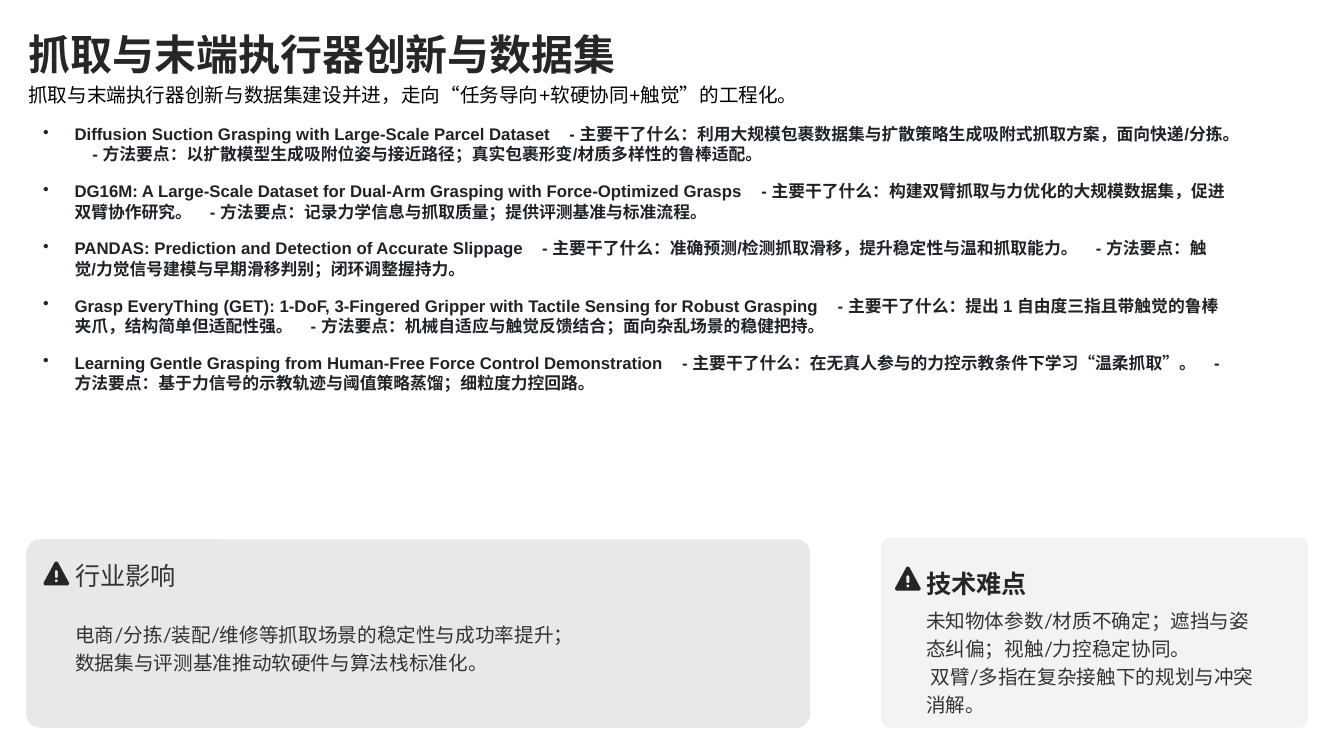
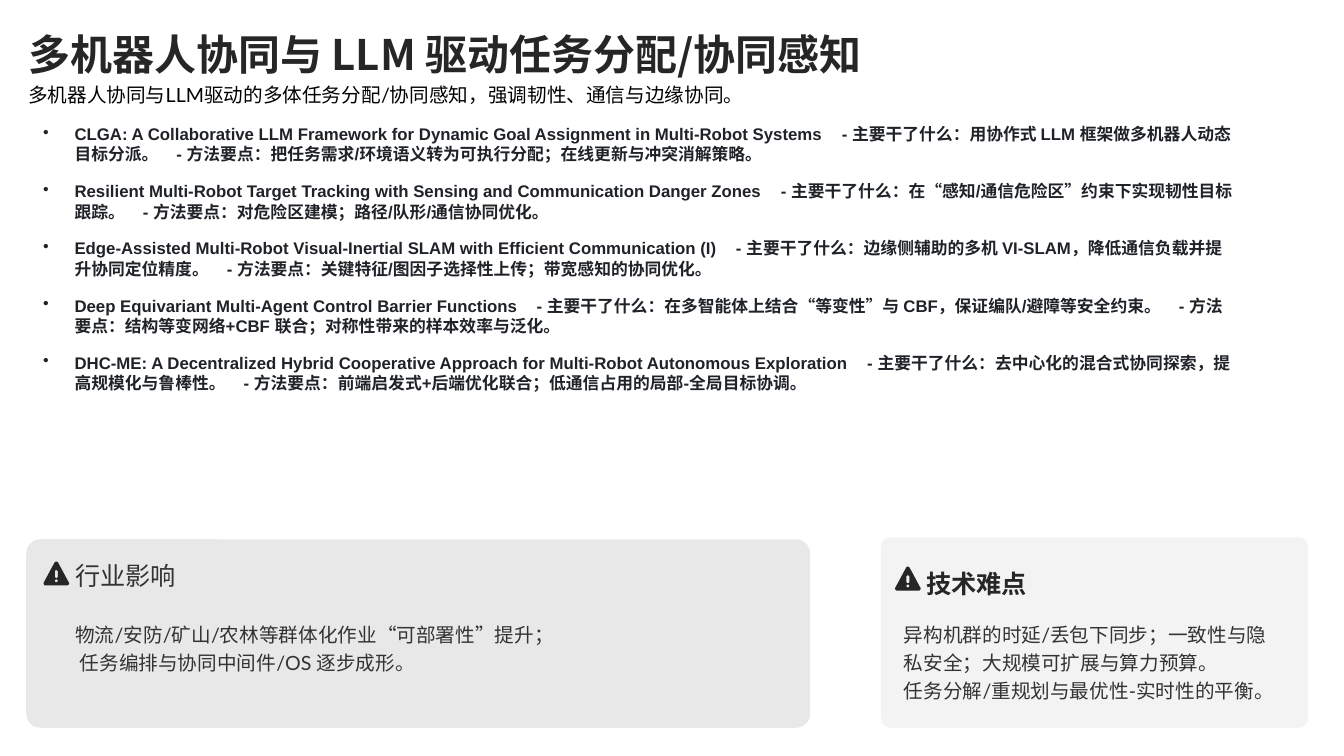
import math
from pptx import Presentation
from pptx.dml.color import RGBColor
from pptx.enum import shapes, text
from pptx.oxml import ns, xmlchemy
from pptx.util import Cm, Pt

INK = RGBColor(0x26, 0x26, 0x26)
BODY = RGBColor(0x33, 0x33, 0x33)
BULLET = RGBColor(0x1F, 0x23, 0x28)
BLACK = RGBColor(0, 0, 0)
GREY = RGBColor(0x8C, 0x8C, 0x8C)
HAN, SANS, LIST = "Noto Sans CJK SC", "Lato", "Arial"

# Panel geometry in cm: box on the slide, the rest relative to the box
IMPACT = dict(box=(0.66, 13.59, 19.76, 4.75), radius=0.36, fill=INK,
              icon=(0.44, 0.56), heading=(1.24, 0.33), bold=False, spacing=1.2, color=BODY)
CHALLENGE = dict(box=(22.2, 13.54, 10.77, 4.8), radius=0.24, fill=GREY,
                 icon=(0.36, 0.74), heading=(1.14, 0.56), bold=True, spacing=1.3, color=INK)

SLIDES = [
    dict(
        title="抓取与末端执行器创新与数据集",
        subtitle="抓取与末端执行器创新与数据集建设并进，走向“任务导向+软硬协同+触觉”的工程化。",
        papers=[
            ("Diffusion Suction Grasping with Large-Scale Parcel Dataset",
             "利用大规模包裹数据集与扩散策略生成吸附式抓取方案，面向快递/分拣。",
             "以扩散模型生成吸附位姿与接近路径；真实包裹形变/材质多样性的鲁棒适配。"),
            ("DG16M: A Large-Scale Dataset for Dual-Arm Grasping with Force-Optimized Grasps",
             "构建双臂抓取与力优化的大规模数据集，促进双臂协作研究。",
             "记录力学信息与抓取质量；提供评测基准与标准流程。"),
            ("PANDAS: Prediction and Detection of Accurate Slippage",
             "准确预测/检测抓取滑移，提升稳定性与温和抓取能力。",
             "触觉/力觉信号建模与早期滑移判别；闭环调整握持力。"),
            ("Grasp EveryThing (GET): 1-DoF, 3-Fingered Gripper with Tactile Sensing for Robust Grasping",
             "提出 1 自由度三指且带触觉的鲁棒夹爪，结构简单但适配性强。",
             "机械自适应与触觉反馈结合；面向杂乱场景的稳健把持。"),
            ("Learning Gentle Grasping from Human-Free Force Control Demonstration",
             "在无真人参与的力控示教条件下学习“温柔抓取”。",
             "基于力信号的示教轨迹与阈值策略蒸馏；细粒度力控回路。"),
        ],
        impact=["电商/分拣/装配/维修等抓取场景的稳定性与成功率提升；",
                "数据集与评测基准推动软硬件与算法栈标准化。"],
        challenge=["未知物体参数/材质不确定；遮挡与姿态纠偏；视触/力控稳定协同。",
                   " 双臂/多指在复杂接触下的规划与冲突消解。"],
        challenge_body=(1.14, 1.4, 8.36, 3.4),
    ),
    dict(
        title="多机器人协同与 LLM 驱动任务分配/协同感知",
        subtitle="多机器人协同与LLM驱动的多体任务分配/协同感知，强调韧性、通信与边缘协同。",
        papers=[
            ("CLGA: A Collaborative LLM Framework for Dynamic Goal Assignment in Multi-Robot Systems",
             "用协作式 LLM 框架做多机器人动态目标分派。",
             "把任务需求/环境语义转为可执行分配；在线更新与冲突消解策略。"),
            ("Resilient Multi-Robot Target Tracking with Sensing and Communication Danger Zones",
             "在“感知/通信危险区”约束下实现韧性目标跟踪。",
             "对危险区建模；路径/队形/通信协同优化。"),
            ("Edge-Assisted Multi-Robot Visual-Inertial SLAM with Efficient Communication (I)",
             "边缘侧辅助的多机 VI-SLAM，降低通信负载并提升协同定位精度。",
             "关键特征/图因子选择性上传；带宽感知的协同优化。"),
            ("Deep Equivariant Multi-Agent Control Barrier Functions",
             "在多智能体上结合“等变性”与 CBF，保证编队/避障等安全约束。",
             "结构等变网络+CBF 联合；对称性带来的样本效率与泛化。"),
            ("DHC-ME: A Decentralized Hybrid Cooperative Approach for Multi-Robot Autonomous Exploration",
             "去中心化的混合式协同探索，提高规模化与鲁棒性。",
             "前端启发式+后端优化联合；低通信占用的局部-全局目标协调。"),
        ],
        impact=["物流/安防/矿山/农林等群体化作业“可部署性”提升；",
                " 任务编排与协同中间件/OS 逐步成形。"],
        challenge=["异构机群的时延/丢包下同步；一致性与隐私安全；大规模可扩展与算力预算。",
                   "任务分解/重规划与最优性-实时性的平衡。"],
        challenge_body=(0.58, 1.4, 9.63, 3.4),
    ),
]


def style_run(r, font, size, color, bold=False):
    r.font.name, r.font.size, r.font.bold = font, Pt(size), bold
    r.font.color.rgb = color
    ea = xmlchemy.OxmlElement("a:ea")
    ea.set("typeface", HAN)
    r.font._element.find(ns.qn("a:latin")).addnext(ea)


def add_text(s, box, lines, font, size, color, bold=False, spacing=1.0):
    tf = s.shapes.add_textbox(*map(Cm, box)).text_frame
    tf.word_wrap = True
    tf.vertical_anchor = text.MSO_ANCHOR.MIDDLE
    tf.margin_left = tf.margin_right = tf.margin_top = tf.margin_bottom = 0
    tf.text = "\n".join(lines)
    for p in tf.paragraphs:
        p.line_spacing = spacing
        for r in p.runs:
            style_run(r, font, size, color, bold)


def arc(cx, cy, radius, start, end, steps=12):
    angles = [math.radians(start + (end - start) * i / steps) for i in range(steps + 1)]
    return [(cx + radius * math.cos(a), cy + radius * math.sin(a)) for a in angles]


def add_warning_icon(s, left, top, size=0.64):
    """Rounded triangle with an exclamation mark cut out, on a 100-unit grid."""
    triangle = arc(50, 8, 8, 210, 330) + arc(92, 86, 8, 330, 450) + arc(8, 86, 8, 90, 210)
    bar = arc(50, 40, 6, 360, 180) + arc(50, 59, 6, 180, 0)
    dot = arc(50, 76, 6, 360, 0)
    fb = s.shapes.build_freeform(*triangle[0], scale=Cm(size) / 100)
    fb.add_line_segments(triangle[1:])
    for hole in (bar, dot):
        fb.move_to(*hole[0])
        fb.add_line_segments(hole[1:])
    sp = fb.convert_to_shape(Cm(left), Cm(top))
    sp.shadow.inherit = False
    sp.fill.solid()
    sp.fill.fore_color.rgb = INK
    sp.line.fill.background()


def add_header(s, title, subtitle):
    add_text(s, (0.71, 0.71, 32.4, 1.27), [title], HAN, 30, INK, bold=True)
    add_text(s, (0.71, 1.98, 32.4, 0.71), [subtitle], SANS, 14, BLACK, spacing=1.2)


def add_papers(s, box, papers):
    tf = s.shapes.add_textbox(*map(Cm, box)).text_frame
    tf.word_wrap = True
    for i, (name, what, how) in enumerate(papers):
        p = tf.paragraphs[0] if i == 0 else tf.add_paragraph()
        p.space_after = Pt(12)
        pPr = p._p.get_or_add_pPr()
        pPr.set("marL", str(Cm(0.79)))
        pPr.set("indent", str(-Cm(0.79)))
        bullet = xmlchemy.OxmlElement("a:buChar")
        bullet.set("char", "•")
        pPr.append(bullet)
        # A single widened space separates the parts of an entry
        for part in (name, " ", f"- 主要干了什么：{what}", " ", f"- 方法要点：{how}"):
            r = p.add_run()
            r.text = part
            style_run(r, LIST, 12, BULLET, bold=True)
            if part == " ":
                r.font._element.set("spc", "1000")


def add_panel(s, look, heading, lines, body):
    left, top, width, height = look["box"]

    def inside(x, y, *size):
        return (left + x, top + y, *size)

    # Translucent card
    sp = s.shapes.add_shape(shapes.MSO_SHAPE.ROUNDED_RECTANGLE, *map(Cm, look["box"]))
    sp.adjustments[0] = look["radius"] / min(width, height)
    sp.shadow.inherit = False
    sp.fill.solid()
    sp.fill.fore_color.rgb = look["fill"]
    sp.line.fill.background()
    alpha = xmlchemy.OxmlElement("a:alpha")
    alpha.set("val", "10000")
    sp._element.spPr.find(ns.qn("a:solidFill"))[0].append(alpha)
    # Contents
    add_warning_icon(s, *inside(*look["icon"]))
    add_text(s, inside(*look["heading"], 9.07, 1), [heading], SANS, 18,
             look["color"], look["bold"], look["spacing"])
    add_text(s, inside(*body), lines, SANS, 14, BODY, spacing=1.2)


def add_topic_slide(prs, topic):
    s = prs.slides.add_slide(prs.slide_layouts[6])
    add_header(s, topic["title"], topic["subtitle"])
    add_papers(s, (0.84, 3, 30.5, 7.09), topic["papers"])
    add_panel(s, IMPACT, "行业影响", topic["impact"], (1.24, 0.33, 17.98, 4.72))
    add_panel(s, CHALLENGE, "技术难点", topic["challenge"], topic["challenge_body"])


def main():
    prs = Presentation()
    prs.slide_width, prs.slide_height = Cm(33.87), Cm(19.05)
    for topic in SLIDES:
        add_topic_slide(prs, topic)
    prs.save("out.pptx")


if __name__ == "__main__":
    main()
